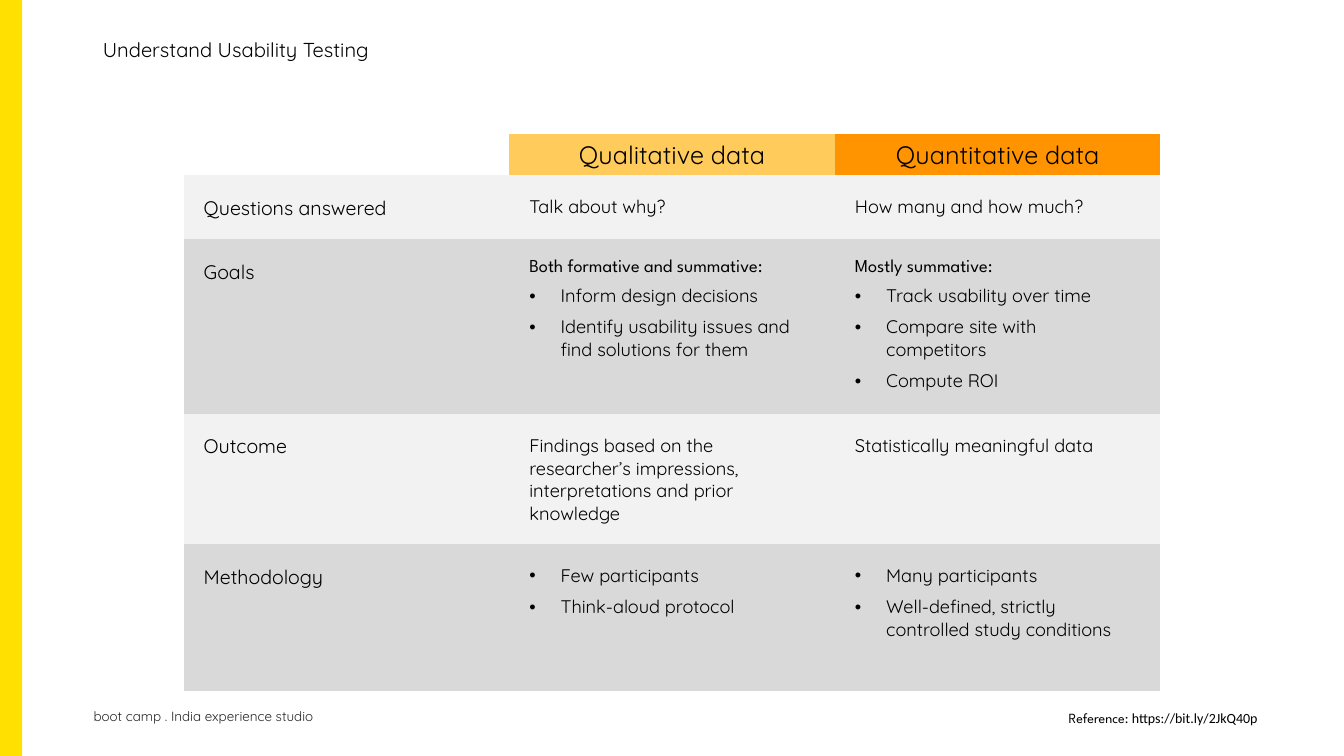
"""Builds a slide that compares qualitative and quantitative usability data."""
from dataclasses import dataclass

import lxml.etree
import pptx
import pptx.dml.color
import pptx.enum.shapes
import pptx.enum.text
import pptx.oxml.ns
import pptx.util

Inches = pptx.util.Inches
Pt = pptx.util.Pt
ALIGN = pptx.enum.text.PP_ALIGN
NO_GRID_STYLE = "{2D5ABB26-0587-4C30-8999-92F81FD0307C}"


@dataclass(frozen=True)
class Theme:
    """Colours, fonts and type sizes of the slide."""
    accent: str = "FFE001"
    qualitative: str = "FFCC5B"
    quantitative: str = "FF9300"
    bands: tuple = ("F2F2F2", "D9D9D9")
    ink: str = "000000"
    footer_ink: str = "262626"
    body_font: str = "Quicksand"
    strong_font: str = "League Spartan"
    link_font: str = "Calibri"
    title_size: float = 14.4
    header_size: float = 18
    label_size: float = 14
    detail_size: float = 13
    footer_size: float = 9.6
    reference_size: float = 10


@dataclass(frozen=True)
class Entry:
    """One paragraph of a detail cell."""
    text: str
    strong: bool = False
    bullet: bool = False


def topic_list(heading, *points):
    """Return an optional strong heading followed by bulleted points."""
    entries = [Entry(heading, strong=True)] if heading else []
    return entries + [Entry(point, bullet=True) for point in points]


HEADERS = ("Qualitative data", "Quantitative data")
COMPARISON = [
    ("Questions answered", 0.63,
     [Entry("Talk about why?")],
     [Entry("How many and how much?")]),
    ("Goals", 1.72,
     topic_list("Both formative and summative:", "Inform design decisions",
                "Identify usability issues and find solutions for them"),
     topic_list("Mostly summative:", "Track usability over time",
                "Compare site with competitors", "Compute ROI")),
    ("Outcome", 1.29,
     [Entry("Findings based on the researcher’s impressions, "
            "interpretations and prior knowledge")],
     [Entry("Statistically meaningful data")]),
    ("Methodology", 1.46,
     topic_list(None, "Few participants", "Think-aloud protocol"),
     topic_list(None, "Many participants",
                "Well-defined, strictly controlled study conditions")),
]


class SlideBuilder:
    """Holds the theme and the current slide and draws each kind of element."""

    def __init__(self, presentation, theme):
        """Add a title-only slide."""
        self.theme = theme
        self.slide = presentation.slides.add_slide(presentation.slide_layouts[5])

    def run(self, paragraph, text, size, font=None, color=None):
        """Append one formatted run."""
        run = paragraph.add_run()
        run.text = text
        run.font.size = Pt(size)
        run.font.name = font or self.theme.body_font
        run.font.bold = False
        run.font.color.rgb = pptx.dml.color.RGBColor.from_string(color or self.theme.ink)

    def bar(self, left, top, width, height, color):
        """Draw a plain filled rectangle."""
        bar = self.slide.shapes.add_shape(
            pptx.enum.shapes.MSO_SHAPE.RECTANGLE,
            Inches(left), Inches(top), Inches(width), Inches(height))
        bar.shadow.inherit = False
        bar.fill.solid()
        bar.fill.fore_color.rgb = pptx.dml.color.RGBColor.from_string(color)
        bar.line.fill.background()

    def title(self, text, left, top, width, height):
        """Move and format the title placeholder."""
        title = self.slide.shapes.title
        title.left, title.top = Inches(left), Inches(top)
        title.width, title.height = Inches(width), Inches(height)
        frame = title.text_frame
        frame.auto_size = pptx.enum.text.MSO_AUTO_SIZE.NONE
        frame.vertical_anchor = pptx.enum.text.MSO_ANCHOR.MIDDLE
        frame.margin_top = frame.margin_bottom = 0
        paragraph = frame.paragraphs[0]
        paragraph.alignment = ALIGN.LEFT
        paragraph.line_spacing = 0.9
        self.run(paragraph, text, self.theme.title_size)

    def text(self, left, top, width, height, runs, align=ALIGN.LEFT, wrap=True):
        """Add a one-paragraph text box from (text, size, font, colour) runs."""
        box = self.slide.shapes.add_textbox(
            Inches(left), Inches(top), Inches(width), Inches(height))
        frame = box.text_frame
        frame.word_wrap = wrap
        frame.auto_size = pptx.enum.text.MSO_AUTO_SIZE.SHAPE_TO_FIT_TEXT
        paragraph = frame.paragraphs[0]
        paragraph.alignment = align
        for run in runs:
            self.run(paragraph, *run)

    def bullet(self, paragraph):
        """Give a paragraph a hanging bullet."""
        properties = paragraph._p.get_or_add_pPr()
        properties.set("marL", str(Inches(0.31)))
        properties.set("indent", str(-Inches(0.31)))
        for tag, key, value in (("a:buFont", "typeface", "Arial"), ("a:buChar", "char", "•")):
            lxml.etree.SubElement(properties, pptx.oxml.ns.qn(tag)).set(key, value)

    def cell(self, cell, entries, size, color, margin=None, align=ALIGN.LEFT):
        """Fill a table cell and write its paragraphs."""
        cell.fill.solid()
        cell.fill.fore_color.rgb = pptx.dml.color.RGBColor.from_string(color)
        if margin:
            cell.margin_left = cell.margin_right = Inches(margin)
            cell.margin_top = cell.margin_bottom = Inches(margin)
        frame = cell.text_frame
        for index, entry in enumerate(entries):
            paragraph = frame.add_paragraph() if index else frame.paragraphs[0]
            if entry.bullet:
                self.bullet(paragraph)
            if entry.bullet or entry.strong:
                paragraph.space_after = Pt(6)
            paragraph.alignment = align
            font = self.theme.strong_font if entry.strong else self.theme.body_font
            self.run(paragraph, entry.text, size, font)

    def comparison(self, left, top, column_width, header_height, headers, topics):
        """Add the comparison table with one row per topic."""
        theme = self.theme
        columns = len(headers) + 1
        height = header_height + sum(topic[1] for topic in topics)
        table = self.slide.shapes.add_table(
            len(topics) + 1, columns, Inches(left), Inches(top),
            Inches(column_width * columns), Inches(height)).table
        table.first_row = table.horz_banding = False
        table._tbl.tblPr.find(pptx.oxml.ns.qn("a:tableStyleId")).text = NO_GRID_STYLE
        for column in table.columns:
            column.width = Inches(column_width)
        table.rows[0].height = Inches(header_height)
        table.cell(0, 0).fill.background()
        header_colors = (theme.qualitative, theme.quantitative)
        for column, (header, color) in enumerate(zip(headers, header_colors), 1):
            self.cell(table.cell(0, column), [Entry(header)], theme.header_size,
                      color, align=ALIGN.CENTER)
        for row, (label, row_height, *details) in enumerate(topics, 1):
            table.rows[row].height = Inches(row_height)
            band = theme.bands[(row - 1) % 2]
            self.cell(table.cell(row, 0), [Entry(label)], theme.label_size, band, 0.2)
            for column, entries in enumerate(details, 1):
                self.cell(table.cell(row, column), entries, theme.detail_size, band, 0.2)


def main():
    """Build and save the slide."""
    presentation = pptx.Presentation()
    presentation.slide_width = Inches(13.33)
    presentation.slide_height = Inches(7.5)
    theme = Theme()
    builder = SlideBuilder(presentation, theme)
    builder.bar(0, 0, 0.22, 7.5, theme.accent)
    builder.text(0.83, 6.98, 6.67, 0.26, [
        ("boot camp . India experience studio", theme.footer_size,
         theme.body_font, theme.footer_ink)])
    builder.title("Understand Usability Testing", 0.92, 0.38, 5.03, 0.25)
    builder.comparison(1.82, 1.33, 3.23, 0.41, HEADERS, COMPARISON)
    builder.text(10.42, 6.99, 2.15, 0.27, [
        ("Reference: ", theme.reference_size, theme.strong_font),
        ("https://bit.ly/2JkQ40p", theme.reference_size, theme.link_font)],
        ALIGN.RIGHT, wrap=False)
    presentation.save("out.pptx")


if __name__ == "__main__":
    main()
